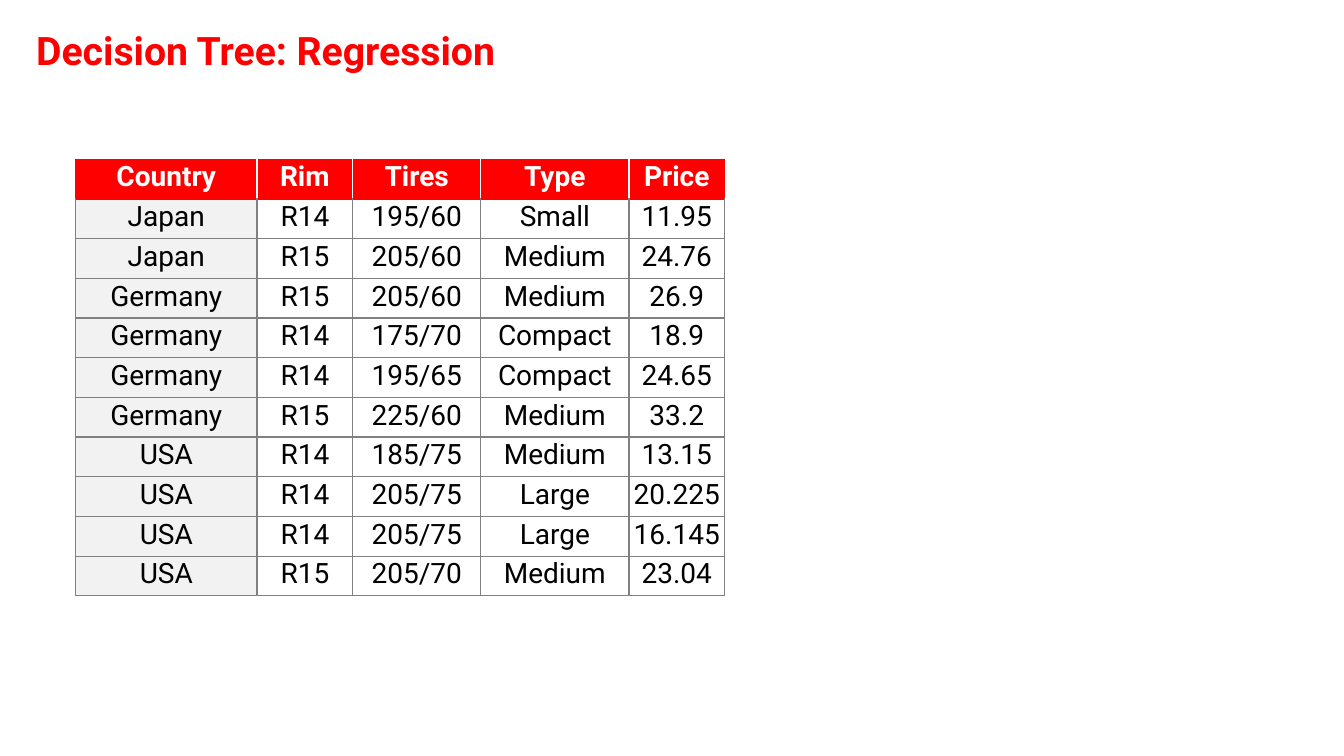
from lxml import etree
from pptx import Presentation
from pptx.dml.color import RGBColor
from pptx.enum.text import MSO_ANCHOR, PP_ALIGN
from pptx.oxml.ns import qn
from pptx.util import Pt

LEFT, CENTER = PP_ALIGN.LEFT, PP_ALIGN.CENTER
MIDDLE, BOTTOM = MSO_ANCHOR.MIDDLE, MSO_ANCHOR.BOTTOM
RED = RGBColor(0xFF, 0x00, 0x00)
WHITE = RGBColor(0xFF, 0xFF, 0xFF)
BLACK = RGBColor(0x00, 0x00, 0x00)
GRAY = RGBColor(0x80, 0x80, 0x80)
LIGHT_GRAY = RGBColor(0xF2, 0xF2, 0xF2)


def write_text(text_frame, text, size=20, color=BLACK, bold=False, align=CENTER):
    paragraph = text_frame.paragraphs[0]
    paragraph.alignment = align
    run = paragraph.add_run()
    run.text = text
    run.font.name = "Roboto"
    run.font.size = Pt(size)
    run.font.bold = bold
    run.font.color.rgb = color


def add_border(cell, side, color):
    properties = cell._tc.get_or_add_tcPr()
    line = etree.SubElement(properties, qn(f"a:ln{side}"), w=str(Pt(1)))
    fill = etree.SubElement(line, qn("a:solidFill"))
    etree.SubElement(fill, qn("a:srgbClr"), val=str(color))


presentation = Presentation()
presentation.slide_width = Pt(960)
presentation.slide_height = Pt(540)
slide = presentation.slides.add_slide(presentation.slide_layouts[6])

# Title
title = slide.shapes.add_textbox(Pt(18.72), Pt(12.96), Pt(881.28), Pt(44.64))
title.text_frame.word_wrap = True
title.text_frame.vertical_anchor = MIDDLE
write_text(title.text_frame, "Decision Tree: Regression",
           size=28, color=RED, bold=True, align=LEFT)

# Car table data
rows = [
    ("Country", "Rim", "Tires", "Type", "Price"),
    ("Japan", "R14", "195/60", "Small", "11.95"),
    ("Japan", "R15", "205/60", "Medium", "24.76"),
    ("Germany", "R15", "205/60", "Medium", "26.9"),
    ("Germany", "R14", "175/70", "Compact", "18.9"),
    ("Germany", "R14", "195/65", "Compact", "24.65"),
    ("Germany", "R15", "225/60", "Medium", "33.2"),
    ("USA", "R14", "185/75", "Medium", "13.15"),
    ("USA", "R14", "205/75", "Large", "20.225"),
    ("USA", "R14", "205/75", "Large", "16.145"),
    ("USA", "R15", "205/70", "Medium", "23.04"),
]
column_widths = [129.6, 68.4, 91.44, 105.84, 68.4]
row_height = 28
last_column = len(column_widths) - 1

# Car table
table = slide.shapes.add_table(
    len(rows), len(column_widths), Pt(54), Pt(113.76),
    Pt(sum(column_widths)), Pt(row_height * len(rows))).table
table.first_row = True
table.horz_banding = False
for column, width in zip(table.columns, column_widths):
    column.width = Pt(width)

for row_index, values in enumerate(rows):
    table.rows[row_index].height = Pt(row_height)
    header = row_index == 0
    for column_index, value in enumerate(values):
        cell = table.cell(row_index, column_index)
        cell.margin_left = cell.margin_right = cell.margin_top = Pt(0.72)
        cell.margin_bottom = Pt(3.6)
        cell.vertical_anchor = BOTTOM
        write_text(cell.text_frame, value, color=WHITE if header else BLACK, bold=header)

        # Red frame with white dividers in the header, gray grid below
        inner = WHITE if header else GRAY
        outer = RED if header else GRAY
        add_border(cell, "L", outer if column_index == 0 else inner)
        add_border(cell, "R", outer if column_index == last_column else inner)
        add_border(cell, "T", RED if row_index <= 1 else GRAY)
        add_border(cell, "B", outer)

        if header or column_index == 0:
            cell.fill.solid()
            cell.fill.fore_color.rgb = RED if header else LIGHT_GRAY
        else:
            cell.fill.background()

presentation.save("out.pptx")
